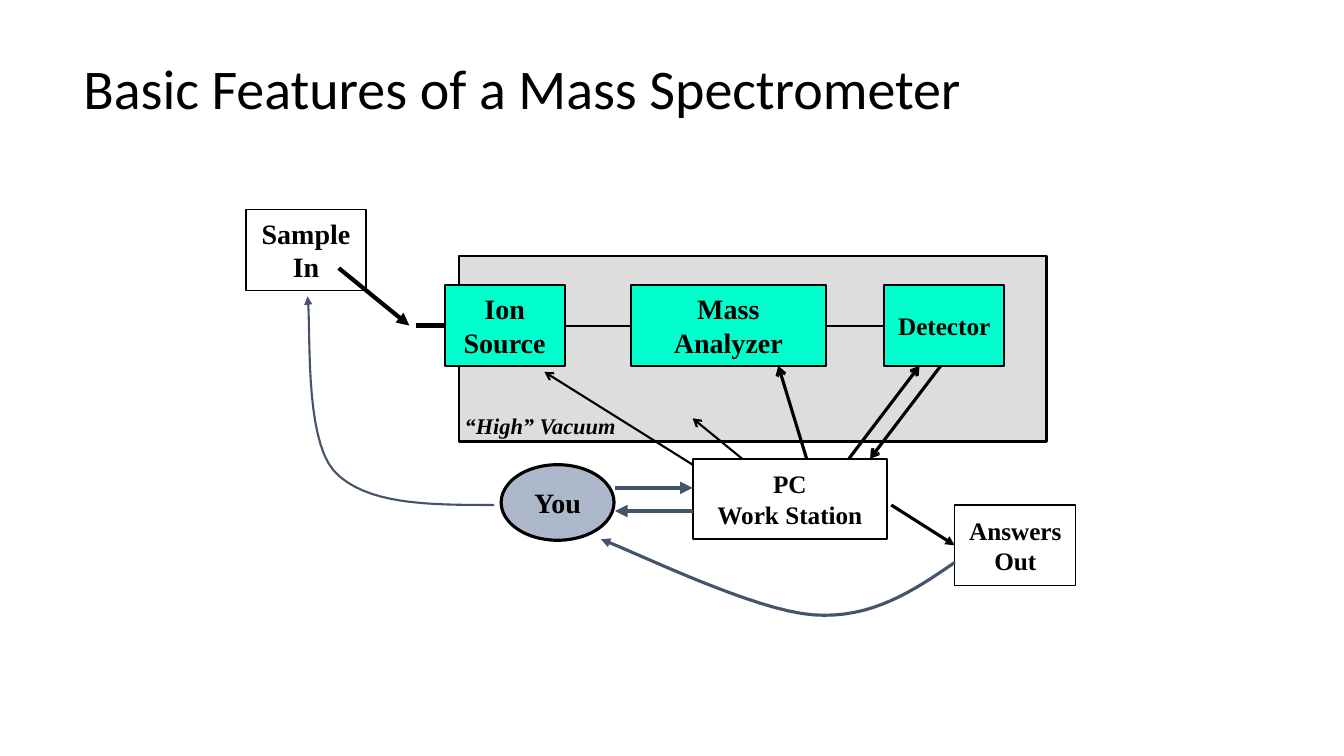
from lxml.etree import SubElement
from pptx import Presentation
from pptx.dml.color import RGBColor
from pptx.enum.shapes import MSO_CONNECTOR, MSO_SHAPE
from pptx.enum.text import MSO_ANCHOR, PP_ALIGN
from pptx.oxml.ns import qn
from pptx.util import Inches, Pt

BLACK = RGBColor(0x00, 0x00, 0x00)
WHITE = RGBColor(0xFF, 0xFF, 0xFF)
GREY = RGBColor(0xDD, 0xDD, 0xDD)
AQUA = RGBColor(0x00, 0xFF, 0xCC)
PALE_BLUE = RGBColor(0xAD, 0xB9, 0xCA)
SLATE = RGBColor(0x44, 0x54, 0x6A)

BOX_HEIGHT = 0.8
STAGE_TOP = 0.75
BEAM_Y = STAGE_TOP + BOX_HEIGHT / 2
STAGE_BOTTOM = STAGE_TOP + BOX_HEIGHT
PC_LEFT, PC_TOP = 4.43, 2.47

# Positions are inches from the diagram's top left corner.
# text, left, top, width, height, fill, line width, font size
BOXES = [
    ("", 2.11, 0.46, 5.83, 1.84, GREY, 1.5, 18),
    ("PC\nWork Station", PC_LEFT, PC_TOP, 1.93, BOX_HEIGHT, WHITE, 1.5, 18),
    ("Ion\nSource", 1.97, STAGE_TOP, 1.19, BOX_HEIGHT, AQUA, 1.5, 20),
    ("Mass\nAnalyzer", 3.82, STAGE_TOP, 1.93, BOX_HEIGHT, AQUA, 1.5, 20),
    ("Detector", 6.33, STAGE_TOP, 1.19, BOX_HEIGHT, AQUA, 1.5, 18),
    ("Answers\nOut", 7.03, 2.93, 1.2, BOX_HEIGHT, WHITE, 1, 18),
    ("Sample\nIn", 0, 0, 1.19, BOX_HEIGHT, WHITE, 1, 20),
]

# start, end, colour, line width, arrowhead
LINES = [
    ((3.17, BEAM_Y), (3.81, BEAM_Y), BLACK, 1.5, None),
    ((5.76, BEAM_Y), (6.32, BEAM_Y), BLACK, 1.5, None),
    ((0.92, 0.58), (1.62, BEAM_Y), BLACK, 3, "triangle"),
    ((1.69, BEAM_Y), (1.97, BEAM_Y), BLACK, 3, None),
    ((PC_LEFT, 2.53), (2.96, 1.61), BLACK, 1.5, "arrow"),
    ((4.92, PC_TOP), (4.43, 2.07), BLACK, 1.5, "arrow"),
    ((5.56, PC_TOP), (5.28, STAGE_BOTTOM), BLACK, 2.25, "arrow"),
    ((5.98, PC_TOP), (6.68, STAGE_BOTTOM), BLACK, 2.25, "arrow"),
    ((6.89, STAGE_BOTTOM), (6.19, PC_TOP), BLACK, 2.25, "arrow"),
    ((3.66, 2.76), (PC_LEFT, 2.76), SLATE, 3, "triangle"),
    ((PC_LEFT, 2.99), (3.66, 2.99), SLATE, 3, "triangle"),
    ((6.4, 2.93), (7.03, 3.33), BLACK, 2.25, "triangle"),
]

# Bezier control points, line width
CURVES = [
    ([(7.03, 3.5), (6.62, 3.78), (6.21, 4.06), (5.63, 4.02),
      (5.04, 3.98), (3.87, 3.4), (3.52, 3.27)], 2.25),
    ([(2.46, 2.93), (1.82, 2.93), (1.18, 2.93), (0.87, 2.59),
      (0.57, 2.24), (0.65, 1.15), (0.61, 0.86)], 1.5),
]
CURVE_STEPS = 16


def style_line(shape, colour, width, arrowhead=None):
    shape.line.color.rgb = colour
    shape.line.width = Pt(width)
    if arrowhead:
        SubElement(shape.line._get_or_add_ln(), qn("a:tailEnd"), type=arrowhead)


def write_text(shape, text, font_name, size, align, bold=False, italic=False):
    text_frame = shape.text_frame
    text_frame.text = text
    for paragraph in text_frame.paragraphs:
        paragraph.alignment = align
        font = paragraph.font
        font.name = font_name
        font.size = Pt(size)
        font.bold = bold
        font.italic = italic
        font.color.rgb = BLACK


def add_box(slide, kind, left, top, width, height, fill, line_width, text, size):
    shape = slide.shapes.add_shape(
        kind, Inches(left), Inches(top), Inches(width), Inches(height))
    shape.shadow.inherit = False
    shape.fill.solid()
    shape.fill.fore_color.rgb = fill
    style_line(shape, BLACK, line_width)
    if text:
        shape.text_frame.word_wrap = False
        shape.text_frame.vertical_anchor = MSO_ANCHOR.MIDDLE
        write_text(shape, text, "Times New Roman", size, PP_ALIGN.CENTER, bold=True)


def add_line(slide, start, end, colour, width, arrowhead):
    connector = slide.shapes.add_connector(
        MSO_CONNECTOR.STRAIGHT, *(Inches(value) for value in (*start, *end)))
    style_line(connector, colour, width, arrowhead)
    SubElement(connector._element.spPr, qn("a:effectLst"))


def bezier_point(controls, t):
    weights = ((1 - t) ** 3, 3 * t * (1 - t) ** 2, 3 * t ** 2 * (1 - t), t ** 3)
    return tuple(
        Inches(sum(weight * point[axis] for weight, point in zip(weights, controls)))
        for axis in (0, 1))


def add_curve(slide, controls, width):
    """Draw joined cubic Bezier segments as a finely stepped open outline."""
    points = [bezier_point(controls[first:first + 4], step / CURVE_STEPS)
              for first in range(0, len(controls) - 1, 3)
              for step in range(1, CURVE_STEPS + 1)]
    start_x, start_y = controls[0]
    builder = slide.shapes.build_freeform(Inches(start_x), Inches(start_y))
    builder.add_line_segments(points, close=False)
    curve = builder.convert_to_shape()
    curve.shadow.inherit = False
    curve.fill.background()
    style_line(curve, SLATE, width, "triangle")


def add_title(slide, left, top, width, height):
    title = slide.shapes.add_textbox(
        Inches(left), Inches(top), Inches(width), Inches(height))
    title.text_frame.word_wrap = True
    title.text_frame.vertical_anchor = MSO_ANCHOR.MIDDLE
    write_text(title, "Basic Features of a Mass Spectrometer", "Calibri", 40,
               PP_ALIGN.LEFT)
    title.text_frame.paragraphs[0].line_spacing = 0.9


def add_diagram(slide, left, top):
    def place(point):
        return left + point[0], top + point[1]

    for text, x, y, width, height, fill, line_width, size in BOXES:
        add_box(slide, MSO_SHAPE.RECTANGLE, *place((x, y)), width, height,
                fill, line_width, text, size)
    add_box(slide, MSO_SHAPE.OVAL, *place((2.53, 2.53)), 1.12, 0.75,
            PALE_BLUE, 2.25, "You", 20)

    label = slide.shapes.add_textbox(
        Inches(left + 2.07), Inches(top + 1.96), Inches(1.72), Inches(0.37))
    label.text_frame.word_wrap = False
    write_text(label, "“High” Vacuum", "Times New Roman", 16, PP_ALIGN.LEFT,
               bold=True, italic=True)

    for start, end, colour, width, arrowhead in LINES:
        add_line(slide, place(start), place(end), colour, width, arrowhead)
    for controls, width in CURVES:
        add_curve(slide, [place(point) for point in controls], width)


def main():
    presentation = Presentation()
    presentation.slide_width = Inches(13.33)
    presentation.slide_height = Inches(7.5)
    slide = presentation.slides.add_slide(presentation.slide_layouts[6])
    add_title(slide, 0.73, 0.18, 11.5, 1.45)
    add_diagram(slide, 2.44, 2.08)
    presentation.save("out.pptx")


if __name__ == "__main__":
    main()
